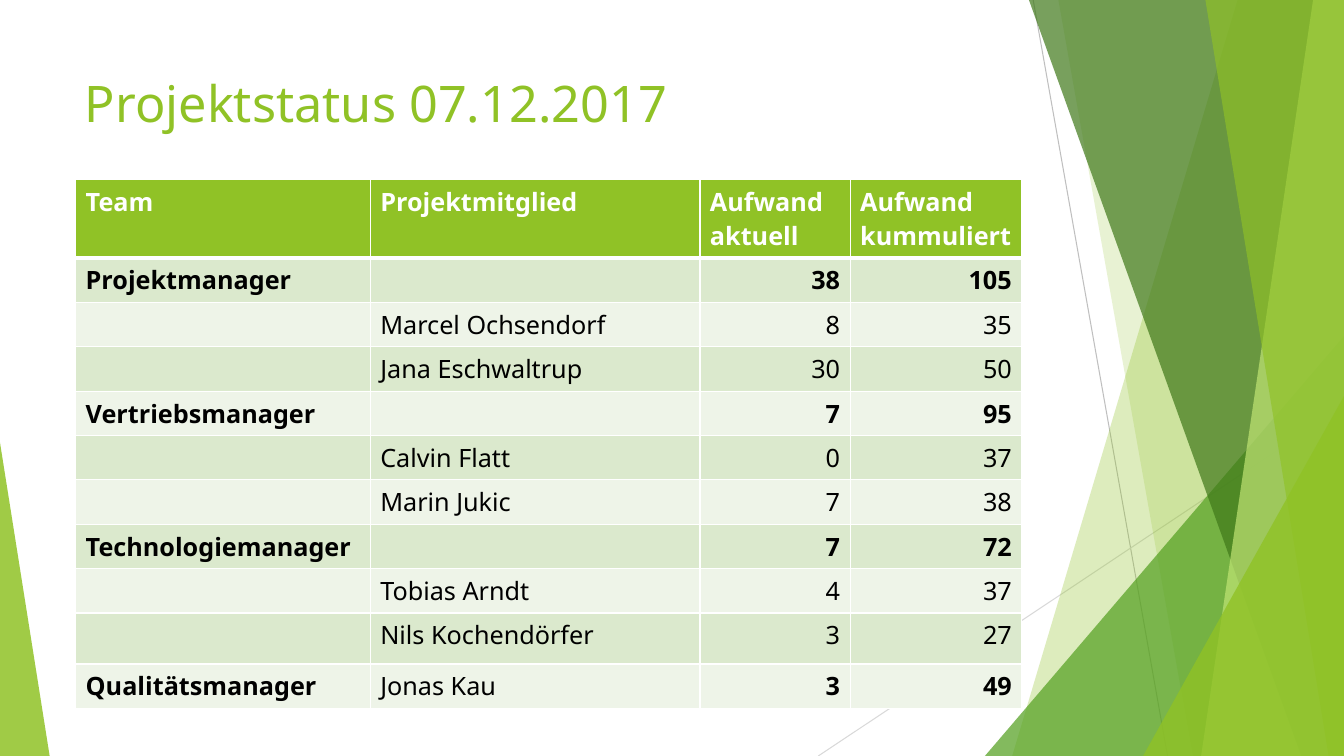
from lxml import etree
from pptx import Presentation
from pptx.dml.color import RGBColor
from pptx.enum.shapes import MSO_CONNECTOR, MSO_SHAPE
from pptx.enum.text import PP_ALIGN
from pptx.oxml.ns import qn
from pptx.util import Pt

STRAIGHT = MSO_CONNECTOR.STRAIGHT
TRIANGLE = MSO_SHAPE.ISOSCELES_TRIANGLE
LEFT, RIGHT = PP_ALIGN.LEFT, PP_ALIGN.RIGHT

FONT = "Noto Sans"
WIDTH, HEIGHT = 960, 540
COLORS = {
    "green": "90C226", "leaf": "54A021", "forest": "3F7819", "lime": "C0E474",
    "row_dark": "DBE9CD", "row_light": "EEF4E8", "white": "FFFFFF",
    "black": "000000", "grey": "BFBFBF", "light_grey": "D9D9D9",
}


def write(paragraph, text, size, color, bold=False):
    """Add one formatted run to a paragraph."""
    run = paragraph.add_run()
    run.text = text
    run.font.name = FONT
    run.font.size = Pt(size)
    run.font.bold = bold
    run.font.color.rgb = RGBColor.from_string(COLORS[color])


def add_border(cell, side, width):
    """Draw a white border on one side (L, R, T or B) of a table cell."""
    border = etree.SubElement(cell._tc.get_or_add_tcPr(), qn(f"a:ln{side}"),
                              w=str(Pt(width)))
    fill = etree.SubElement(border, qn("a:solidFill"))
    etree.SubElement(fill, qn("a:srgbClr"), val=COLORS["white"])


prs = Presentation()
prs.slide_width, prs.slide_height = Pt(WIDTH), Pt(HEIGHT)
slide = prs.slides.add_slide(prs.slide_layouts[6])
shapes = slide.shapes

# Thin lines behind the facets
for x1, y1, x2, y2, color in [(738, 0, 834, HEIGHT, "grey"),
                              (WIDTH, 290, 584.5, HEIGHT, "light_grey")]:
    ray = shapes.add_connector(STRAIGHT, Pt(x1), Pt(y1), Pt(x2), Pt(y2))
    ray.line.color.rgb = RGBColor.from_string(COLORS[color])
    ray.line.width = Pt(0.75)
    etree.SubElement(ray._element.spPr, qn("a:effectLst"))

# Bands run from (top x, bottom x) to the right edge;
# triangles are (left, top, width, apex) and stand on the bottom edge.
facets = [
    ((884, 723), "green", 30),
    ((756, 852), "green", 20),
    ((703.5, 240, 256.5, 1), "leaf", 72),
    ((735, 929.5), "forest", 70),
    ((938, 858), "lime", 70),
    ((861, 949), "green", 65),
    ((816.5, 283, 143.5, 1), "green", 80),
    ((0, 316, 35.5, 0), "green", 85),
]
for geometry, color, opacity in facets:
    if len(geometry) == 2:
        top_x, bottom_x = geometry
        outline = shapes.build_freeform(Pt(top_x), 0)
        outline.add_line_segments([(Pt(WIDTH), 0), (Pt(WIDTH), Pt(HEIGHT)),
                                   (Pt(bottom_x), Pt(HEIGHT))], close=True)
        facet = outline.convert_to_shape()
    else:
        left, top, width, apex = geometry
        facet = shapes.add_shape(TRIANGLE, Pt(left), Pt(top), Pt(width), Pt(HEIGHT - top))
        facet.adjustments[0] = apex
    facet.shadow.inherit = False
    facet.line.fill.background()
    facet.fill.solid()
    facet.fill.fore_color.rgb = RGBColor.from_string(COLORS[color])
    tint = facet._element.spPr.find(qn("a:solidFill"))[0]
    etree.SubElement(tint, qn("a:alpha"), val=str(opacity * 1000))

title = shapes.add_textbox(Pt(53.5), Pt(48), Pt(677), Pt(104)).text_frame
title.word_wrap = True
write(title.paragraphs[0], "Projektstatus 07.12.2017", 36, "green")

# Effort table: team rows carry bold totals, member rows are regular
status_rows = [
    ("Team", "Projektmitglied", "Aufwand aktuell", "Aufwand kummuliert"),
    ("Projektmanager", "", "38", "105"),
    ("", "Marcel Ochsendorf", "8", "35"),
    ("", "Jana Eschwaltrup", "30", "50"),
    ("Vertriebsmanager", "", "7", "95"),
    ("", "Calvin Flatt", "0", "37"),
    ("", "Marin Jukic", "7", "38"),
    ("Technologiemanager", "", "7", "72"),
    ("", "Tobias Arndt", "4", "37"),
    ("", "Nils Kochendörfer", "3", "27"),
    ("Qualitätsmanager", "Jonas Kau", "3", "49"),
]
column_widths = [210.5, 235.5, 107.3, 122.7]
row_heights = [56] + [31.7] * 8 + [36.5, 31.7]
table = shapes.add_table(len(status_rows), len(column_widths), Pt(54), Pt(128.3),
                         Pt(sum(column_widths)), Pt(sum(row_heights))).table
table.horz_banding = False
for column, width in zip(table.columns, column_widths):
    column.width = Pt(width)
for row, height in zip(table.rows, row_heights):
    row.height = Pt(height)

for r, values in enumerate(status_rows):
    header = r == 0
    band = "green" if header else "row_dark" if r % 2 else "row_light"
    for c, value in enumerate(values):
        cell = table.cell(r, c)
        for side in "LRTB":
            under_header = (r, side) in [(0, "B"), (1, "T")]
            add_border(cell, side, 3 if under_header else 1)
        cell.fill.solid()
        cell.fill.fore_color.rgb = RGBColor.from_string(COLORS[band])
        paragraph = cell.text_frame.paragraphs[0]
        paragraph.alignment = RIGHT if c >= 2 and not header else LEFT
        if value:
            bold = header or (values[0] != "" and c != 1)
            write(paragraph, value, 18, "white" if header else "black", bold)
        else:
            paragraph.font.size = Pt(18)

prs.save("out.pptx")
